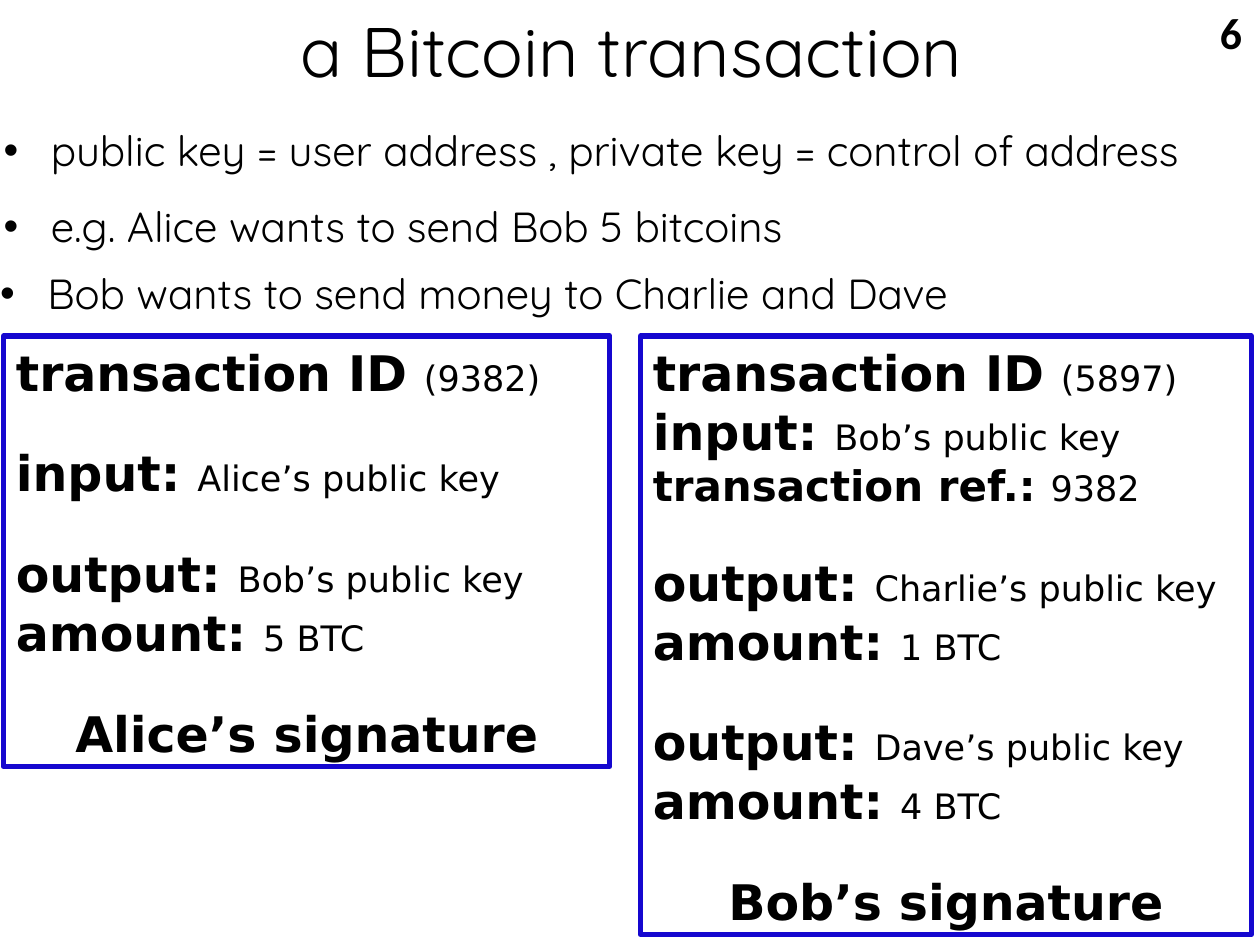
from pptx import Presentation
from pptx.dml.color import RGBColor
from pptx.enum.shapes import MSO_SHAPE
from pptx.enum.text import MSO_ANCHOR, MSO_AUTO_SIZE, PP_ALIGN
from pptx.util import Pt

RECTANGLE = MSO_SHAPE.RECTANGLE
TOP, MIDDLE = MSO_ANCHOR.TOP, MSO_ANCHOR.MIDDLE
LEFT, CENTER = PP_ALIGN.LEFT, PP_ALIGN.CENTER
NO_AUTOFIT = MSO_AUTO_SIZE.NONE
TWO_CONTENT_LAYOUT = 3
HEADING_FONT, BOX_FONT, NUMBER_FONT = "Quicksand", "DejaVu Sans", "Calibri"
BLACK, WHITE, BLUE = "000000", "FFFFFF", "1507CF"
GAP = 24


def color(hex_string):
    """Turn a hex string into a colour."""
    return RGBColor.from_string(hex_string)


def place(shape, box):
    """Move a shape to a box of left, top, width and height in points."""
    shape.left, shape.top, shape.width, shape.height = (Pt(value) for value in box)


def set_frame(frame, anchor=TOP, side=7.2, end=3.6, wrap=True):
    """Set the anchor, margins and wrapping of a text frame."""
    frame.auto_size = NO_AUTOFIT
    frame.word_wrap = wrap
    frame.vertical_anchor = anchor
    frame.margin_left = frame.margin_right = Pt(side)
    frame.margin_top = frame.margin_bottom = Pt(end)


def add_paragraph(frame, first, align=LEFT, before=0, spacing=1.0):
    """Return the first or a new paragraph with its spacing set."""
    para = frame.paragraphs[0] if first else frame.add_paragraph()
    para.alignment = align
    para.space_before = Pt(before)
    para.line_spacing = spacing
    return para


def add_text(para, text, size=24, font=HEADING_FONT, bold=False):
    """Add a formatted run of text to a paragraph."""
    span = para.add_run()
    span.text = text
    span.font.size = Pt(size)
    span.font.name = font
    span.font.bold = bold
    span.font.color.rgb = color(BLACK)


def add_title(page, box, text):
    """Fill the title placeholder."""
    title = page.shapes.title
    place(title, box)
    set_frame(title.text_frame, anchor=MIDDLE, wrap=False)
    add_text(add_paragraph(title.text_frame, True, align=CENTER), text, size=40)


def add_page_number(page, box, text):
    """Add the page number in the corner."""
    number = page.shapes.add_textbox(*(Pt(value) for value in box))
    set_frame(number.text_frame)
    add_text(add_paragraph(number.text_frame, True), text, size=25, font=NUMBER_FONT, bold=True)


def add_bullets(body, box, items):
    """Fill a body placeholder with bulleted items."""
    place(body, box)
    set_frame(body.text_frame, side=0, end=0)
    for index, item in enumerate(items):
        para = add_paragraph(body.text_frame, index == 0, spacing=1.5)
        properties = para._p.get_or_add_pPr()
        properties.set("marL", str(Pt(27)))
        properties.set("indent", str(-Pt(27)))
        add_text(para, item)


def add_transaction(page, box, rows, signature):
    """Draw a transaction box with its labelled rows and signature."""
    panel = page.shapes.add_shape(RECTANGLE, *(Pt(value) for value in box))
    panel.shadow.inherit = False
    panel.fill.solid()
    panel.fill.fore_color.rgb = color(WHITE)
    panel.line.color.rgb = color(BLUE)
    panel.line.width = Pt(3)
    frame = panel.text_frame
    set_frame(frame)
    for index, (label, value, before, size) in enumerate(rows):
        para = add_paragraph(frame, index == 0, before=before)
        add_text(para, label + " ", size=size, font=BOX_FONT, bold=True)
        add_text(para, value, size=20, font=BOX_FONT)
    para = add_paragraph(frame, False, align=CENTER, before=GAP)
    add_text(para, signature, size=28, font=BOX_FONT, bold=True)


def main():
    """Build the slide and save it."""
    deck = Presentation()
    deck.slide_width, deck.slide_height = Pt(720), Pt(540)
    page = deck.slides.add_slide(deck.slide_layouts[TWO_CONTENT_LAYOUT])
    add_title(page, (91.5, 0, 538.5, 57), "a Bitcoin transaction")
    add_page_number(page, (690, 0, 29, 37.5), "6")
    add_bullets(page.placeholders[1], (2, 57, 720, 87), [
        "public key = user address , private key = control of address",
        "e.g. Alice wants to send Bob 5 bitcoins",
    ])
    add_bullets(page.placeholders[2], (0, 138.5, 720, 38),
                ["Bob wants to send money to Charlie and Dave"])
    add_transaction(page, (2, 192, 346.5, 246), [
        ("transaction ID", "(9382)", 0, 28),
        ("input:", "Alice’s public key", GAP, 28),
        ("output:", "Bob’s public key", GAP, 28),
        ("amount:", "5 BTC", 0, 28),
    ], "Alice’s signature")
    add_transaction(page, (366, 192, 349, 342), [
        ("transaction ID", "(5897)", 0, 28),
        ("input:", "Bob’s public key", 0, 28),
        ("transaction ref.:", "9382", 0, 24),
        ("output:", "Charlie’s public key", GAP, 28),
        ("amount:", "1 BTC", 0, 28),
        ("output:", "Dave’s public key", GAP, 28),
        ("amount:", "4 BTC", 0, 28),
    ], "Bob’s signature")
    deck.save("out.pptx")


if __name__ == "__main__":
    main()
